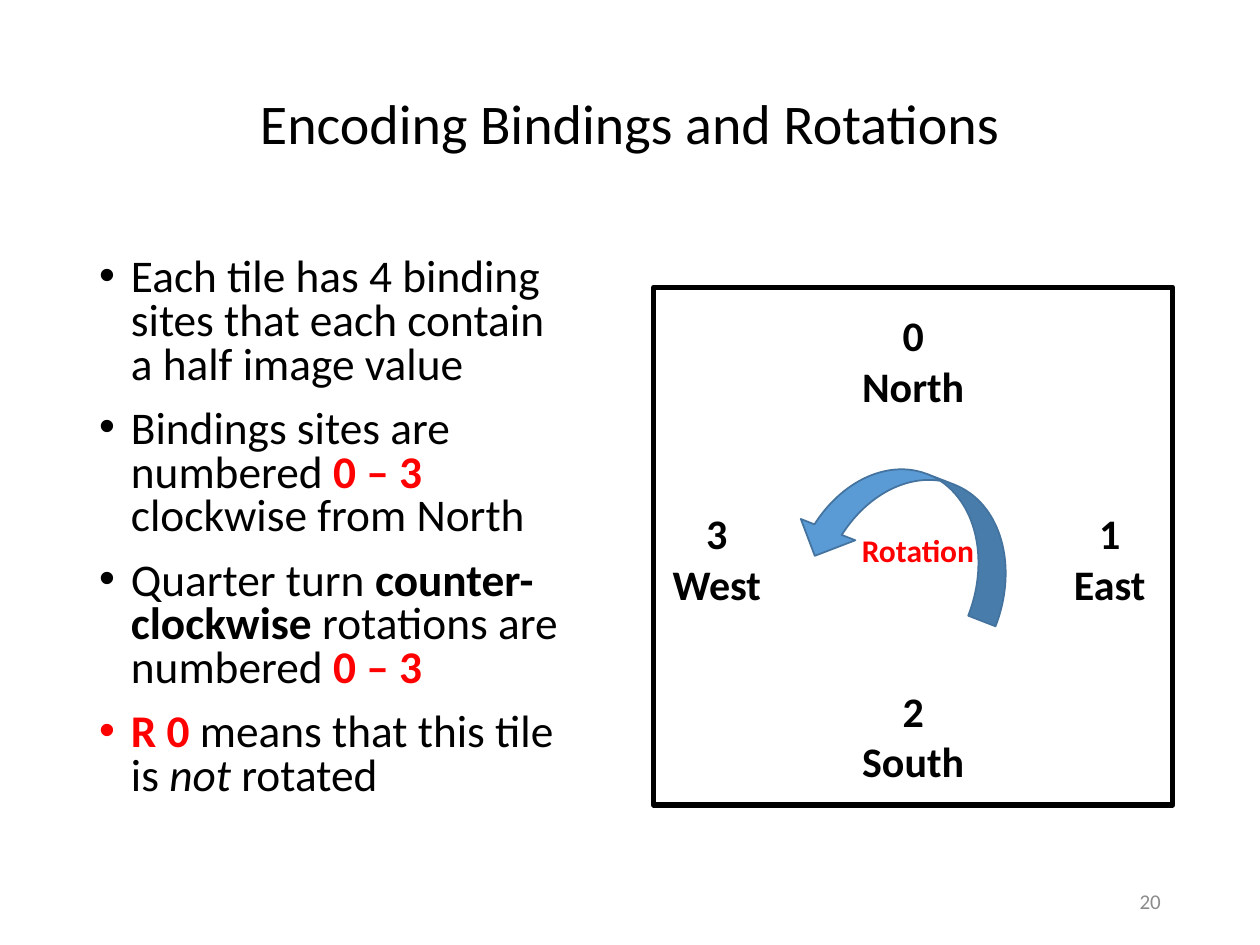
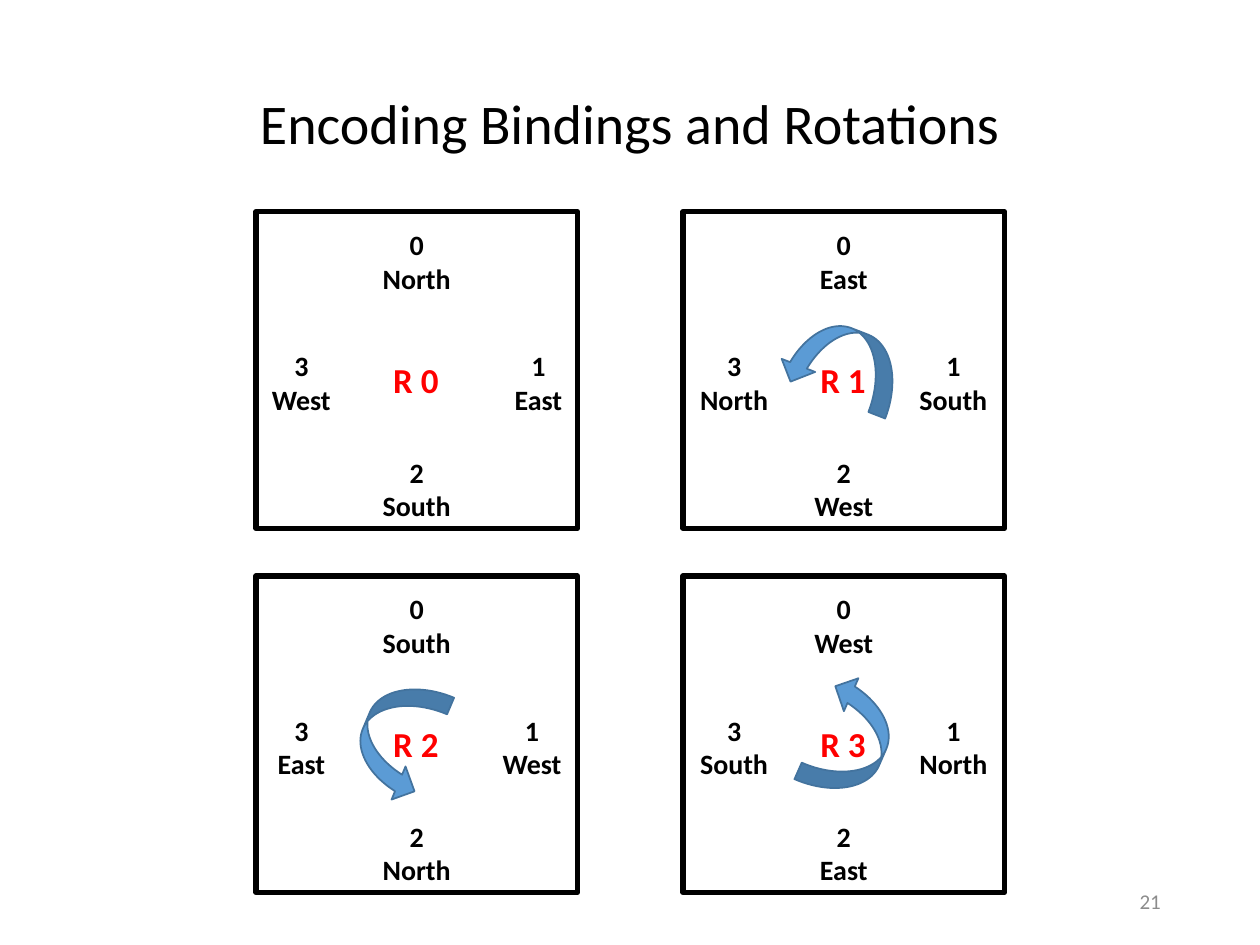
from lxml.etree import SubElement
from pptx import Presentation
from pptx.dml.color import RGBColor
from pptx.enum.shapes import MSO_SHAPE
from pptx.enum.text import MSO_ANCHOR, PP_ALIGN
from pptx.oxml.ns import qn
from pptx.util import Cm, Pt

BLACK = RGBColor(0x00, 0x00, 0x00)
RED = RGBColor(0xFF, 0x00, 0x00)
GREY = RGBColor(0x8C, 0x8C, 0x8C)
ARROW_FILL = RGBColor(0x5B, 0x9B, 0xD5)
ARROW_LINE = RGBColor(0x43, 0x73, 0x9E)

TITLE = "Encoding Bindings and Rotations"
TITLE_FORMAT = {"alignment": PP_ALIGN.CENTER, "line_spacing": 0.9}
CENTERED = {"alignment": PP_ALIGN.CENTER}
NUMBER_FORMAT = {"alignment": PP_ALIGN.RIGHT}
BULLET_FORMAT = {"line_spacing": 0.8, "space_after": Pt(12)}
BOLD = {"bold": True}
BULLET_INDENT = Cm(0.64)

# Tile measures in cm; offsets run from the tile's top left corner.
LARGE = {
    "tile": (10.46, 10.44), "text": 24, "site_height": 2.31,
    "north": (0.33, 3.07), "south": (7.9, 3.73), "side_top": 4.32,
    "label": (3.89, 4.8, 2.87, 1.02), "label_text": 18, "arrow": (2.36, 4.5),
}
SMALL = {
    "tile": (6.48, 6.38), "text": 16, "site_height": 1.63,
    "north": (0.2, 1.91), "south": (4.78, 2.31), "side_top": 2.64,
    "label": (2.49, 2.84, 1.47, 1.12), "label_text": 20, "arrow": (1.45, 2.41),
}
LEFT_COLUMN, RIGHT_COLUMN = 5.16, 13.77
TOP_ROW, BOTTOM_ROW = 4.27, 11.61


def add_text(shapes, place, paragraphs, size, para_format,
             anchor=MSO_ANCHOR.TOP, wrap=True, bullets=False):
    """Add a text box; each paragraph is a list of (text, colour, font format)."""
    box = shapes.add_textbox(*(Cm(length) for length in place))
    frame = box.text_frame
    frame.word_wrap = wrap
    frame.vertical_anchor = anchor
    for index, runs in enumerate(paragraphs):
        para = frame.add_paragraph() if index else frame.paragraphs[0]
        if bullets:
            properties = para._p.get_or_add_pPr()
            properties.set("marL", str(BULLET_INDENT))
            properties.set("indent", str(-BULLET_INDENT))
            SubElement(properties, qn("a:buFont")).set("typeface", "Arial")
            SubElement(properties, qn("a:buChar")).set("char", "•")
        for name, value in para_format.items():
            setattr(para, name, value)
        for text, color, font_format in runs:
            span = para.add_run()
            span.text = text
            span.font.color.rgb = color
            for name, value in {"name": "Calibri", "size": Pt(size), **font_format}.items():
                setattr(span.font, name, value)


def add_tile(page, style, left, top, names, side_widths, label, arrow):
    """Draw a tile with its sites 0 to 3, a centre label and a turning arrow."""
    shapes = page.shapes.add_group_shape().shapes
    width, height = style["tile"]
    square = shapes.add_shape(MSO_SHAPE.RECTANGLE, Cm(left), Cm(top), Cm(width), Cm(height))
    square.shadow.inherit = False
    square.fill.background()
    square.line.color.rgb = BLACK
    square.line.width = Pt(3)

    north_top, north_width = style["north"]
    south_top, south_width = style["south"]
    west_width, east_width = side_widths
    sites = [
        ((width - north_width) / 2, north_top, north_width),
        (width - east_width, style["side_top"], east_width),
        ((width - south_width) / 2, south_top, south_width),
        (0, style["side_top"], west_width),
    ]
    for number, (name, (x, y, site_width)) in enumerate(zip(names, sites)):
        add_text(shapes, (left + x, top + y, site_width, style["site_height"]),
                 [[(str(number), BLACK, BOLD)], [(name, BLACK, BOLD)]],
                 style["text"], CENTERED, wrap=False)

    if arrow:
        x, y, rotation = arrow
        turn = shapes.add_shape(MSO_SHAPE.CURVED_LEFT_ARROW, Cm(left + x), Cm(top + y),
                                *(Cm(length) for length in style["arrow"]))
        turn.shadow.inherit = False
        turn.rotation = rotation
        turn._element.spPr.find(qn("a:xfrm")).set("flipV", "1")
        turn.fill.solid()
        turn.fill.fore_color.rgb = ARROW_FILL
        turn.line.color.rgb = ARROW_LINE
        turn.line.width = Pt(1)

    x, y, label_width, label_height = style["label"]
    add_text(shapes, (left + x, top + y, label_width, label_height),
             [[(label, RED, BOLD)]], style["label_text"], CENTERED, wrap=False)


deck = Presentation()
deck.slide_width, deck.slide_height = Cm(25.4), Cm(19.05)

# Title and page number on both slides
pages = []
for number in (20, 21):
    page = deck.slides.add_slide(deck.slide_layouts[6])
    add_text(page.shapes, (1.75, 1.02, 21.9, 3.07), [[(TITLE, BLACK, {})]], 32,
             TITLE_FORMAT, MSO_ANCHOR.MIDDLE)
    add_text(page.shapes, (17.93, 17.65, 5.72, 1.02), [[(str(number), GREY, {})]], 12,
             NUMBER_FORMAT, MSO_ANCHOR.MIDDLE)
    pages.append(page)
encoding_page, rotations_page = pages

# Slide 20: the encoding rules beside one tile
rules = [
    [("Each tile has 4 binding sites that each contain a half image value", BLACK, {})],
    [("Bindings sites are numbered ", BLACK, {}), ("0 – 3 ", RED, BOLD),
     ("clockwise from North", BLACK, {})],
    [("Quarter turn ", BLACK, {}), ("counter-clockwise", BLACK, BOLD),
     (" rotations are numbered ", BLACK, {}), ("0 – 3", RED, BOLD)],
    [("R 0 ", RED, BOLD), ("means that this tile is ", BLACK, {}),
     ("not", BLACK, {"italic": True}), (" rotated", BLACK, {})],
]
add_text(encoding_page.shapes, (1.75, 5.08, 9.83, 12.09), rules, 25.9, BULLET_FORMAT,
         bullets=True)
compass = ["North", "East", "South", "West"]
add_tile(encoding_page, LARGE, 13.18, 5.79, compass, (2.54, 2.54), "Rotation",
         (4.04, 2.67, 291.3))

# Slide 21: the four rotations, each shifting the compass names by one site
rotations = [
    (LEFT_COLUMN, TOP_ROW, (1.83, 1.57), None),
    (RIGHT_COLUMN, TOP_ROW, (2.06, 2.06), (2.49, 1.85, 291.3)),
    (LEFT_COLUMN, BOTTOM_ROW, (1.83, 1.83), (2.13, 2.08, 202.9)),
    (RIGHT_COLUMN, BOTTOM_ROW, (2.06, 2.06), (2.67, 2.08, 23.7)),
]
for turns, (left, top, side_widths, arrow) in enumerate(rotations):
    add_tile(rotations_page, SMALL, left, top, compass[turns:] + compass[:turns],
             side_widths, f"R {turns}", arrow)

deck.save("out.pptx")
